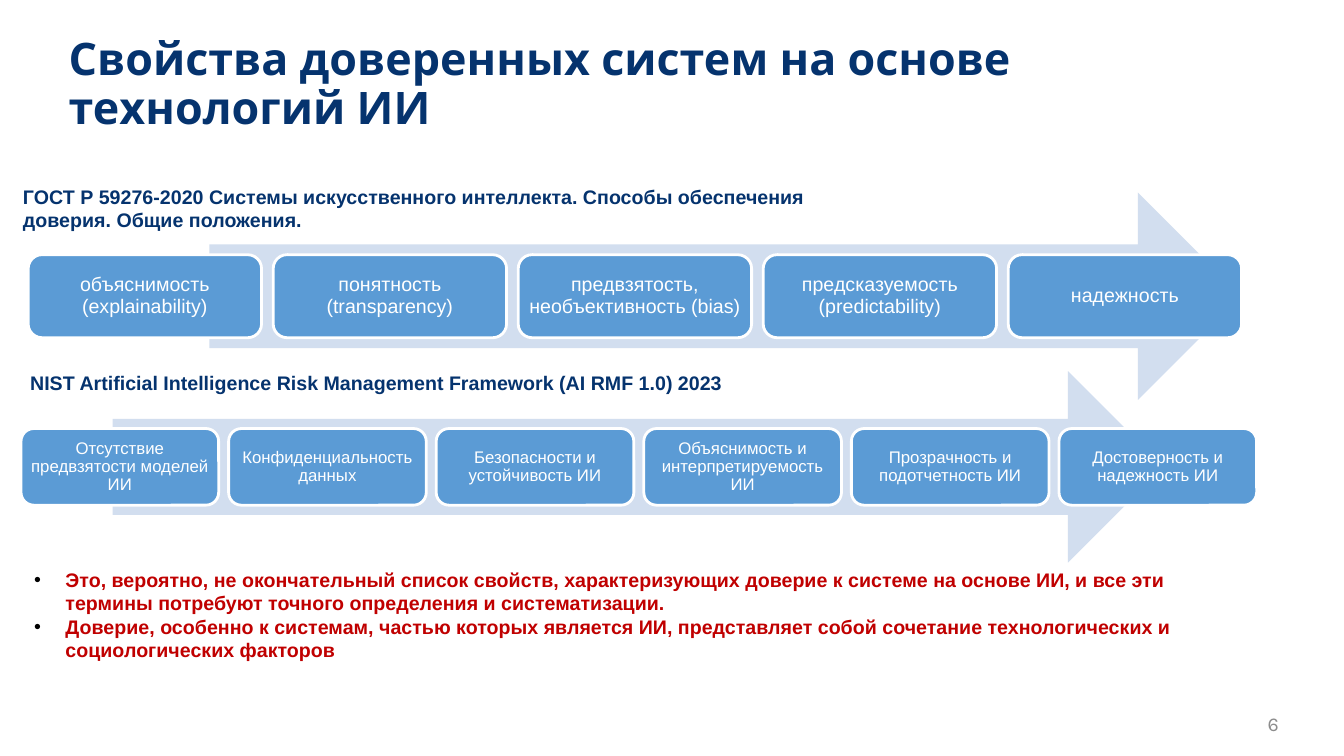
from lxml import etree
from pptx import Presentation
from pptx import util as u
from pptx.dml.color import RGBColor
from pptx.enum import shapes, text
from pptx.oxml.ns import qn

NAVY, RED, BLUE, PALE = "05336E", "C00000", "5B9BD5", "D2DEEF"
WHITE, GREY, BLACK = "FFFFFF", "8C8C8C", "000000"

GOST = ["объяснимость (explainability)", "понятность (transparency)",
        "предвзятость, необъективность (bias)",
        "предсказуемость (predictability)", "надежность"]
NIST = ["Отсутствие предвзятости моделей ИИ", "Конфиденциальность данных",
        "Безопасности и устойчивость ИИ",
        "Объяснимость и интерпретируемость ИИ",
        "Прозрачность и подотчетность ИИ", "Достоверность и надежность ИИ"]
CONCLUSIONS = [
    "Это, вероятно, не окончательный список свойств, характеризующих доверие "
    "к системе на основе ИИ, и все эти термины потребуют точного определения "
    "и систематизации.",
    "Доверие, особенно к системам, частью которых является ИИ, представляет "
    "собой сочетание технологических и социологических факторов"]


def rgb(value):
    return RGBColor.from_string(value)


def cm(box):
    return [u.Cm(v) for v in box]


def set_all(obj, values):
    for name, value in values.items():
        setattr(obj, name, value)


def place(sp, box):
    set_all(sp, dict(zip(("left", "top", "width", "height"), cm(box))))


def frame(sp, anchor, insets=(0.25, 0.13, 0.25, 0.13)):
    """Prepare a text frame; insets run left, top, right, bottom in cm."""
    tf = sp.text_frame
    sides = ("margin_left", "margin_top", "margin_right", "margin_bottom")
    set_all(tf, dict(zip(sides, cm(insets)), word_wrap=True,
                     auto_size=text.MSO_AUTO_SIZE.NONE,
                     vertical_anchor=anchor))
    return tf


def write(p, words, size, color, bold=False, name="Arial",
          align=text.PP_ALIGN.LEFT, spacing=1.0):
    r = p.add_run()
    r.text = words
    set_all(p, {"alignment": align, "line_spacing": spacing,
                "space_before": u.Pt(0)})
    set_all(r.font, {"size": u.Pt(size), "bold": bold, "name": name})
    r.font.color.rgb = rgb(color)


def add_bullet(p, indent):
    pPr = p._p.get_or_add_pPr()
    pPr.set("marL", str(u.Cm(indent)))
    pPr.set("indent", str(-u.Cm(indent)))
    clr = etree.SubElement(pPr, qn("a:buClr"))
    etree.SubElement(clr, qn("a:srgbClr"), val=BLACK)
    etree.SubElement(pPr, qn("a:buFont"), typeface="Arial")
    etree.SubElement(pPr, qn("a:buChar"), char="•")


def add_block(s, kind, box, fill):
    sp = s.shapes.add_shape(kind, *cm(box))
    sp.shadow.inherit = False
    sp.fill.solid()
    sp.fill.fore_color.rgb = rgb(fill)
    sp.line.fill.background()
    return sp


def add_title(s, box, words):
    sp = s.shapes.title
    place(sp, box)
    tf = frame(sp, text.MSO_ANCHOR.MIDDLE, (0.1, 0.1, 0, 0.1))
    write(tf.paragraphs[0], words, 32, NAVY, True, "Karla", spacing=0.9)


def add_heading(s, box, words):
    tf = frame(s.shapes.add_textbox(*cm(box)), text.MSO_ANCHOR.TOP)
    write(tf.paragraphs[0], words, 14, NAVY, True)


def add_property_row(s, box, arrow_x, arrow_width, labels, size, inset):
    """Equal cards across the box, over an arrow of the full box height."""
    left, top, width, height = box
    add_block(s, shapes.MSO_SHAPE.RIGHT_ARROW,
              (arrow_x, top, arrow_width, height), PALE)
    gap = 0.05
    card_w = width / (len(labels) + gap * (len(labels) - 1))
    card_h = 0.4 * height
    for i, label in enumerate(labels):
        card = (left + i * card_w * (1 + gap), top + (height - card_h) / 2,
                card_w, card_h)
        sp = add_block(s, shapes.MSO_SHAPE.ROUNDED_RECTANGLE, card, BLUE)
        sp.line.color.rgb = rgb(WHITE)
        sp.line.width = u.Pt(2)
        tf = frame(sp, text.MSO_ANCHOR.MIDDLE, [inset] * 4)
        write(tf.paragraphs[0], label, size, WHITE,
              align=text.PP_ALIGN.CENTER, spacing=0.9)


def add_conclusions(s, box, items):
    sp = s.placeholders[1]
    place(sp, box)
    tf = frame(sp, text.MSO_ANCHOR.TOP)
    for i, item in enumerate(items):
        p = tf.add_paragraph() if i else tf.paragraphs[0]
        add_bullet(p, 0.79)
        write(p, item, 14, RED, True)


def add_page_number(s, box, number):
    tf = frame(s.shapes.add_textbox(*cm(box)), text.MSO_ANCHOR.TOP,
               (0, 0.13, 0, 0.13))
    write(tf.paragraphs[0], number, 14, GREY, name="Karla",
          align=text.PP_ALIGN.RIGHT)


def main():
    prs = Presentation()
    prs.slide_width, prs.slide_height = u.Cm(33.87), u.Cm(19.05)
    s = prs.slides.add_slide(prs.slide_layouts[1])
    add_title(s, (1.63, 1.14, 30.6, 2.03),
              "Свойства доверенных систем на основе технологий ИИ")
    add_property_row(s, (0.53, 9.35, 31.14, 4.83), 2.84, 26.49, NIST, 12, 0.13)
    add_property_row(s, (0.71, 4.85, 30.58, 5.23), 5.28, 26.01, GOST, 14, 0.15)
    add_heading(s, (0.51, 9.22, 20.45, 0.86),
                "NIST Artificial Intelligence Risk Management Framework "
                "(AI RMF 1.0) 2023")
    add_heading(s, (0.33, 4.52, 20.45, 1.45),
                "ГОСТ Р 59276-2020 Системы искусственного интеллекта. "
                "Способы обеспечения доверия. Общие положения.")
    add_conclusions(s, (0.61, 14.17, 30.38, 2.64), CONCLUSIONS)
    add_page_number(s, (30.99, 17.81, 1.24, 0.94), "6")
    prs.save("out.pptx")


if __name__ == "__main__":
    main()
